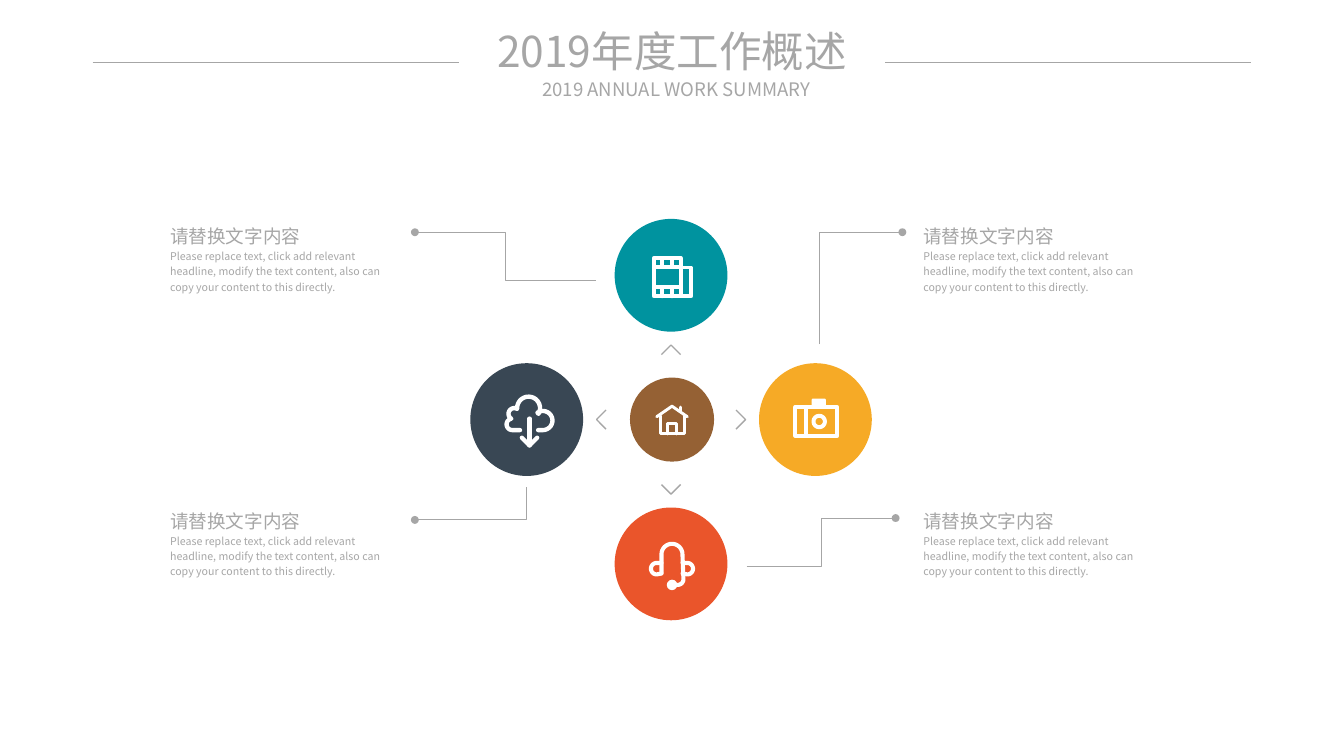
from dataclasses import dataclass
from itertools import product
from math import cos, radians, sin

from lxml import etree
from pptx import Presentation
from pptx.dml.color import RGBColor
from pptx.enum.shapes import MSO_CONNECTOR, MSO_SHAPE
from pptx.enum.text import MSO_ANCHOR, MSO_AUTO_SIZE, PP_ALIGN
from pptx.oxml.ns import qn
from pptx.util import Inches, Pt

OVAL = MSO_SHAPE.OVAL
RECT = MSO_SHAPE.ROUNDED_RECTANGLE
LINE = MSO_CONNECTOR.STRAIGHT
MIDDLE = MSO_ANCHOR.MIDDLE
CENTER, LEFT = PP_ALIGN.CENTER, PP_ALIGN.LEFT
FIXED = MSO_AUTO_SIZE.NONE


@dataclass(frozen=True)
class Theme:
    font: str = "Noto Sans CJK SC"
    gray: str = "A6A6A6"
    white: str = "FFFFFF"
    teal: str = "00939F"
    brown: str = "956134"
    amber: str = "F6AA26"
    navy: str = "394754"
    red: str = "EA552B"
    title: int = 32
    head: int = 14
    body: int = 8


THEME = Theme()
HUB = (7.02, 4.39)
STEP = 1.51
HEAD = "请替换文字内容"
BODY = ("Please replace text, click add relevant headline, modify the text "
        "content, also can copy your content to this directly.")
# direction from the hub, colour
NODES = [((0, -1), THEME.teal), ((1, 0), THEME.amber),
         ((-1, 0), THEME.navy), ((0, 1), THEME.red)]
LEADERS = [
    [(6.23, 2.94), (5.29, 2.94), (5.29, 2.43), (4.34, 2.43)],
    [(8.57, 3.6), (8.57, 2.43), (9.44, 2.43)],
    [(7.81, 5.93), (8.59, 5.93), (8.59, 5.42), (9.37, 5.42)],
    [(5.51, 5.1), (5.51, 5.44), (4.34, 5.44)],
]


def rgb(color):
    return RGBColor.from_string(color)


def fill_text(shape, rows, align, space=1.0):
    """Fill a shape with rows of (text, size)."""
    frame = shape.text_frame
    frame.word_wrap = True
    frame.auto_size = FIXED
    frame.margin_left = frame.margin_right = 0
    frame.margin_top = frame.margin_bottom = 0
    for i, (text, size) in enumerate(rows):
        para = frame.paragraphs[0] if i == 0 else frame.add_paragraph()
        para.text = text
        para.alignment = align
        para.line_spacing = space
        para.space_before = Pt(0)
        para.font.size = Pt(size)
        para.font.color.rgb = rgb(THEME.gray)
        para.font.name = THEME.font
        props = para._p.pPr.find(qn("a:defRPr"))
        etree.SubElement(props, qn("a:ea"), typeface=THEME.font)
    return frame


def add_text(slide, box, rows, align, space=1.0):
    shape = slide.shapes.add_textbox(*map(Inches, box))
    return fill_text(shape, rows, align, space)


def add_rule(slide, left, right, y):
    rule = slide.shapes.add_connector(
        LINE, Inches(left), Inches(y), Inches(right), Inches(y))
    rule.line.color.rgb = rgb(THEME.gray)
    rule.line.width = Pt(0.5)
    etree.SubElement(rule._element.spPr, qn("a:effectLst"))


def add_solid(slide, kind, box, color):
    shape = slide.shapes.add_shape(kind, *map(Inches, box))
    shape.shadow.inherit = False
    shape.fill.solid()
    shape.fill.fore_color.rgb = rgb(color)
    shape.line.fill.background()


def add_disc(slide, mid, size, color):
    x, y = mid
    add_solid(slide, OVAL, (x - size / 2, y - size / 2, size, size), color)


def add_path(slide, points, color, width, closed=False, dot=False):
    """Draw an unfilled outline; dot puts an oval at its end."""
    spots = [(Inches(x), Inches(y)) for x, y in points]
    pen = slide.shapes.build_freeform(*spots[0])
    pen.add_line_segments(spots[1:], close=closed)
    shape = pen.convert_to_shape()
    shape.shadow.inherit = False
    shape.fill.background()
    shape.line.color.rgb = rgb(color)
    shape.line.width = Pt(width)
    line = shape.line._ln
    if color == THEME.white:
        line.set("cap", "rnd")
    etree.SubElement(line, qn("a:round"))
    if dot:
        etree.SubElement(line, qn("a:tailEnd"), type="oval")


def arc(x, y, size, start, end):
    """Points on a circle of radius size; angles run clockwise."""
    turns = [radians(start + (end - start) * i / 16) for i in range(17)]
    return [(x + size * cos(t), y + size * sin(t)) for t in turns]


def frame_of(left, top, right, bottom):
    return [(left, top), (right, top), (right, bottom), (left, bottom)]


def add_icon(slide, paths, width, closed=False):
    for path in paths:
        add_path(slide, path, THEME.white, width, closed)


def add_film(slide):
    add_icon(slide, [frame_of(6.84, 2.7, 7.12, 3.1),
                     frame_of(7.12, 2.8, 7.23, 3.1)], 2.9, True)
    add_icon(slide, [[(6.84, y), (7.12, y)] for y in (2.79, 3.0)], 2.9)
    add_icon(slide, [[(x, y), (x, y + 0.09)]
                     for x, y in product((6.93, 7.03), (2.7, 3.01))], 2.9)


def add_cloud(slide):
    cloud = [(5.63, 4.5), *arc(5.68, 4.4, 0.1, 90, -125),
             *arc(5.53, 4.27, 0.12, 30, -180),
             *arc(5.38, 4.33, 0.06, -60, -230),
             *arc(5.36, 4.44, 0.06, -100, -270), (5.44, 4.5)]
    add_icon(slide, [cloud, [(5.54, 4.38), (5.54, 4.66)],
                     [(5.46, 4.58), (5.54, 4.66), (5.62, 4.58)]], 3.3)


def add_phones(slide):
    band = [(6.92, 6.0), *arc(7.03, 5.8, 0.11, 180, 360),
            *arc(7.09, 6.06, 0.06, 0, 90), (7.03, 6.12)]
    ears = [[(6.92, 5.89), *arc(6.87, 5.95, 0.06, 270, 90), (6.92, 6.0)],
            [(7.14, 5.89), *arc(7.19, 5.95, 0.06, -90, 90), (7.14, 6.0)]]
    add_icon(slide, [band, *ears], 3.1)
    add_disc(slide, (7.03, 6.12), 0.11, THEME.white)


def add_camera(slide):
    add_icon(slide, [frame_of(8.32, 4.26, 8.76, 4.56),
                     arc(8.57, 4.41, 0.06, 0, 360)], 3, True)
    add_icon(slide, [[(8.43, 4.26), (8.43, 4.56)]], 3.2)
    add_solid(slide, RECT, (8.49, 4.17, 0.15, 0.1), THEME.white)


def add_house(slide):
    add_icon(slide, [
        [(6.87, 4.36), (7.03, 4.25), (7.19, 4.36)],
        [(6.91, 4.35), (6.91, 4.54), (7.16, 4.54), (7.16, 4.35)],
        [(6.98, 4.54), (6.98, 4.43), (7.08, 4.43), (7.08, 4.54)],
        [(7.12, 4.26), (7.12, 4.31)]], 2.2)


def add_arrow(slide, way):
    """Draw a chevron beside the hub, pointing along way."""
    (x, y), (dx, dy) = HUB, way
    points = [(x + dx * far - dy * side, y + dy * far + dx * side)
              for far, side in ((0.68, -0.1), (0.78, 0), (0.68, 0.1))]
    add_path(slide, points, THEME.gray, 1)


def main():
    deck = Presentation()
    deck.slide_width, deck.slide_height = Inches(14.06), Inches(7.91)
    slide = deck.slides.add_slide(deck.slide_layouts[5])

    title = slide.shapes.title
    title.left, title.top = Inches(4.87), Inches(0.26)
    title.width, title.height = Inches(4.32), Inches(0.54)
    frame = fill_text(title, [("2019年度工作概述", THEME.title)], CENTER)
    frame.vertical_anchor = MIDDLE
    frame = add_text(slide, (5.5, 0.81, 3.15, 0.24),
                     [("2019 ANNUAL WORK SUMMARY", THEME.head)], CENTER)
    frame.vertical_anchor = MIDDLE
    for left in (0.97, 9.26):
        add_rule(slide, left, left + 3.83, 0.65)

    add_disc(slide, (HUB[0] + 0.01, HUB[1]), 0.88, THEME.brown)
    for way, color in NODES:
        mid = [h + STEP * w for h, w in zip(HUB, way)]
        add_disc(slide, mid, 1.18, color)
        add_arrow(slide, way)
    for points in LEADERS:
        add_path(slide, points, THEME.gray, 0.75, dot=True)
    for left, top in product((1.78, 9.66), (2.31, 5.29)):
        add_text(slide, (left, top, 2.33, 0.77),
                 [(HEAD, THEME.head), (BODY, THEME.body)], LEFT, 1.2)
    for draw in (add_film, add_cloud, add_phones, add_camera, add_house):
        draw(slide)
    deck.save("out.pptx")


if __name__ == "__main__":
    main()
